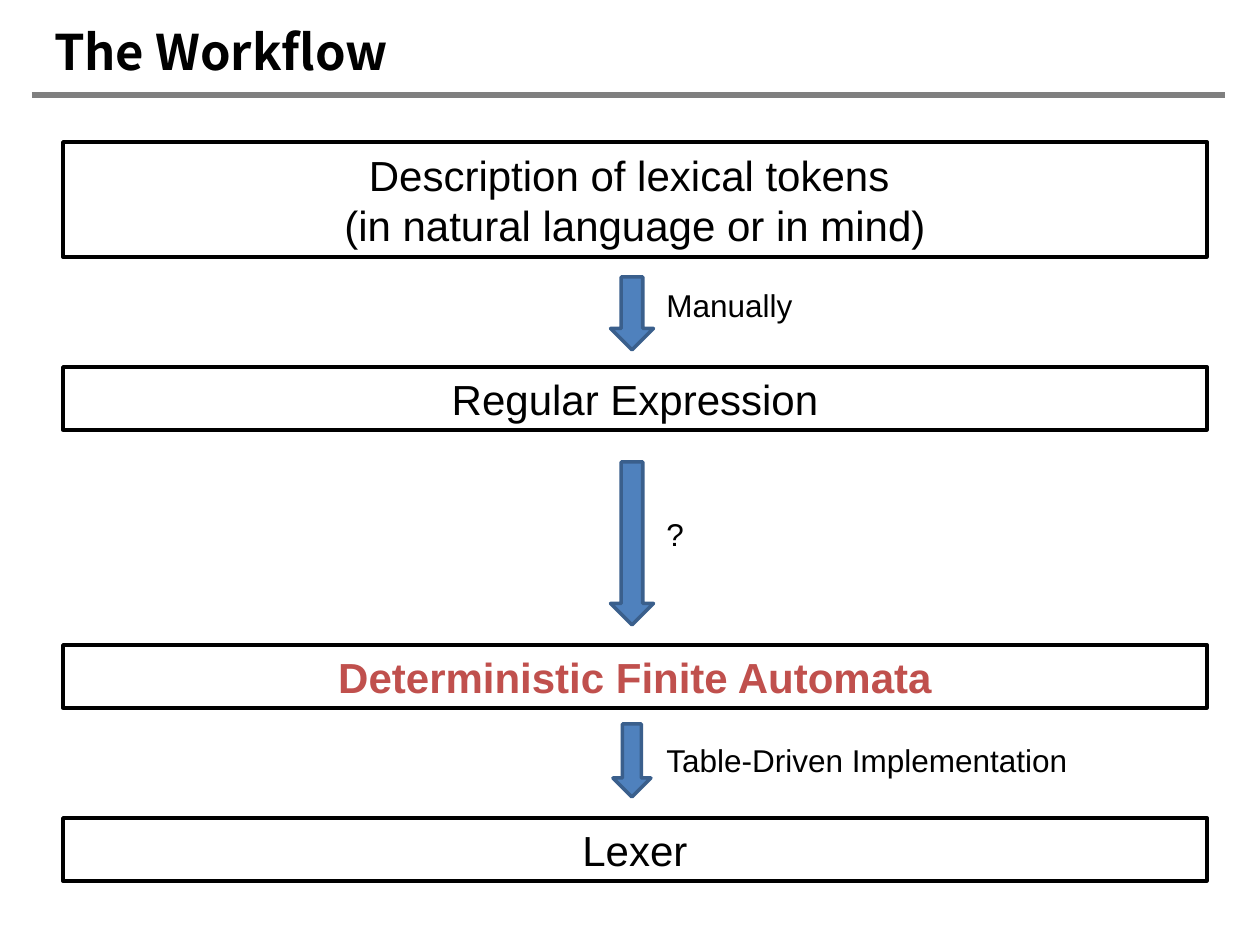
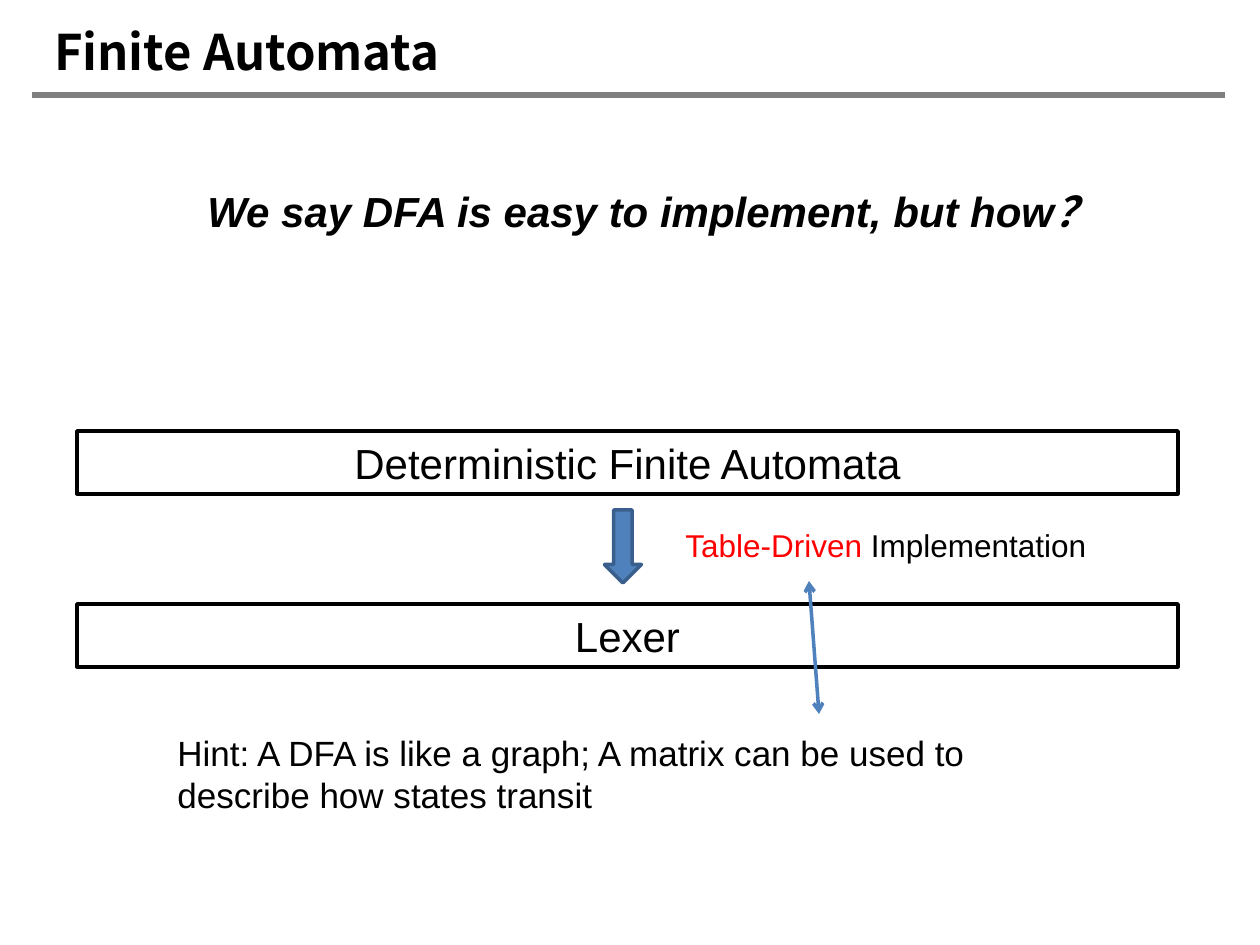
from dataclasses import dataclass

from lxml import etree
from pptx import Presentation
from pptx.dml.color import RGBColor
from pptx.enum.shapes import MSO_CONNECTOR, MSO_SHAPE
from pptx.enum.text import MSO_ANCHOR, PP_ALIGN
from pptx.oxml.ns import qn
from pptx.util import Emu, Pt

RECTANGLE = MSO_SHAPE.RECTANGLE
DOWN_ARROW = MSO_SHAPE.DOWN_ARROW
STRAIGHT = MSO_CONNECTOR.STRAIGHT
LEFT, CENTER = PP_ALIGN.LEFT, PP_ALIGN.CENTER
TOP, MIDDLE = MSO_ANCHOR.TOP, MSO_ANCHOR.MIDDLE
TITLE_ONLY = 5
PX = 914400 / 126


@dataclass(frozen=True)
class Theme:
    black: str = "000000"
    rule: str = "7F7F7F"
    blue: str = "4F81BD"
    dark_blue: str = "3A5F8C"
    accent: str = "C0504D"
    red: str = "FF0000"
    body_font: str = "Arial"
    title_font: str = "Noto Sans CJK SC"
    title_size: int = 28
    box_size: int = 24
    hint_size: int = 20
    label_size: int = 18
    line_width: int = 2
    rule_width: int = 3


THEME = Theme()


def px(*lengths):
    return [Emu(round(length * PX)) for length in lengths]


def write(frame, text, *, size, font=THEME.body_font, color=THEME.black,
          bold=False, italic=False, align=LEFT, anchor=TOP, indent=0):
    """Fill a frame; text is a string, or a list of (words, color) spans."""
    frame.word_wrap = True
    frame.vertical_anchor = anchor
    lines = [[(line, color)] for line in text.split("\n")] if isinstance(text, str) else [text]
    for number, spans in enumerate(lines):
        para = frame.add_paragraph() if number else frame.paragraphs[0]
        para.alignment = align
        if indent:
            properties = para._p.get_or_add_pPr()
            properties.set("marL", "0")
            properties.set("indent", str(px(indent)[0]))
        for words, span_color in spans:
            span = para.add_run()
            span.text = words
            span.font.name = font
            span.font.size = Pt(size)
            span.font.bold = bold
            span.font.italic = italic
            span.font.color.rgb = RGBColor.from_string(span_color)
            east_asian = etree.SubElement(span._r.get_or_add_rPr(), qn("a:ea"))
            east_asian.set("typeface", THEME.title_font)


def add_outlined(page, kind, left, top, width, height, line, fill=None):
    shape = page.shapes.add_shape(kind, *px(left, top, width, height))
    shape.shadow.inherit = False
    shape.line.color.rgb = RGBColor.from_string(line)
    shape.line.width = Pt(THEME.line_width)
    if fill:
        shape.fill.solid()
        shape.fill.fore_color.rgb = RGBColor.from_string(fill)
    else:
        shape.fill.background()
    return shape


def add_stage(page, text, left, top, width, height=63, **style):
    box = add_outlined(page, RECTANGLE, left, top, width, height, THEME.black)
    write(box.text_frame, text, size=THEME.box_size, align=CENTER, anchor=MIDDLE, **style)


def add_down_arrow(page, center, top, width, height):
    add_outlined(page, DOWN_ARROW, center - width / 2, top, width, height,
                 THEME.dark_blue, THEME.blue)


def add_text(page, text, left, top, width, height=50, **style):
    box = page.shapes.add_textbox(*px(left, top, width, height))
    write(box.text_frame, text, **style)


def add_line(page, start, end, color, width, arrows=False):
    line = page.shapes.add_connector(STRAIGHT, *px(*start, *end))
    line.line.color.rgb = RGBColor.from_string(color)
    line.line.width = Pt(width)
    if arrows:
        outline = line.line._get_or_add_ln()
        for tag in ("a:headEnd", "a:tailEnd"):
            etree.SubElement(outline, qn(tag)).set("type", "arrow")
    etree.SubElement(line._element.spPr, qn("a:effectLst"))


def add_page(deck, title):
    """Start a page with the shared rule and title."""
    page = deck.slides.add_slide(deck.slide_layouts[TITLE_ONLY])
    add_line(page, (32, 95), (1225, 95), THEME.rule, THEME.rule_width)
    box = page.shapes.title
    box.left, box.top, box.width, box.height = px(54, 21, 502, 59)
    frame = box.text_frame
    frame.margin_left = frame.margin_top = frame.margin_right = frame.margin_bottom = 0
    write(frame, title, size=THEME.title_size, font=THEME.title_font,
          bold=True, anchor=MIDDLE)
    return page


def build_workflow(deck):
    page = add_page(deck, "The Workflow")
    left, width, center = 63, 1144, 632

    # Stages from description to lexer
    add_stage(page, "Description of lexical tokens \n(in natural language or in mind)",
              left, 142, width, 115)
    add_stage(page, "Regular Expression", left, 367, width)
    add_stage(page, "Deterministic Finite Automata", left, 645, width,
              color=THEME.accent, bold=True)
    add_stage(page, "Lexer", left, 818, width)

    # Steps between the stages: label, label top, arrow top, width, height
    steps = [("Manually", 280, 277, 43, 73),
             ("?", 509, 462, 43, 163),
             ("Table-Driven Implementation", 735, 724, 38, 73)]
    for label, label_top, top, arrow_width, height in steps:
        add_down_arrow(page, center, top, arrow_width, height)
        add_text(page, label, 654, label_top, 483, size=THEME.label_size)


def build_automata(deck):
    page = add_page(deck, "Finite Automata")

    # Question
    add_text(page, "We say DFA is easy to implement, but how？", 132, 179, 994, 136,
             size=THEME.box_size, bold=True, italic=True, indent=63)

    # Stages and the step between them
    for name, top in (("Deterministic Finite Automata", 431), ("Lexer", 604)):
        add_stage(page, name, 77, top, 1101)
    add_down_arrow(page, 623, 510, 37, 73)
    add_text(page, [("Table-Driven ", THEME.red), ("Implementation", THEME.black)],
             673, 520, 465, size=THEME.label_size)

    # Hint tied to the table-driven step
    add_text(page, "Hint: A DFA is like a graph; A matrix can be used to describe "
             "how states transit", 165, 725, 949, 97, size=THEME.hint_size)
    add_line(page, (809, 581), (819, 714), THEME.blue, THEME.line_width, arrows=True)


def main():
    deck = Presentation()
    deck.slide_width, deck.slide_height = px(1260, 945)
    build_workflow(deck)
    build_automata(deck)
    deck.save("out.pptx")


if __name__ == "__main__":
    main()
